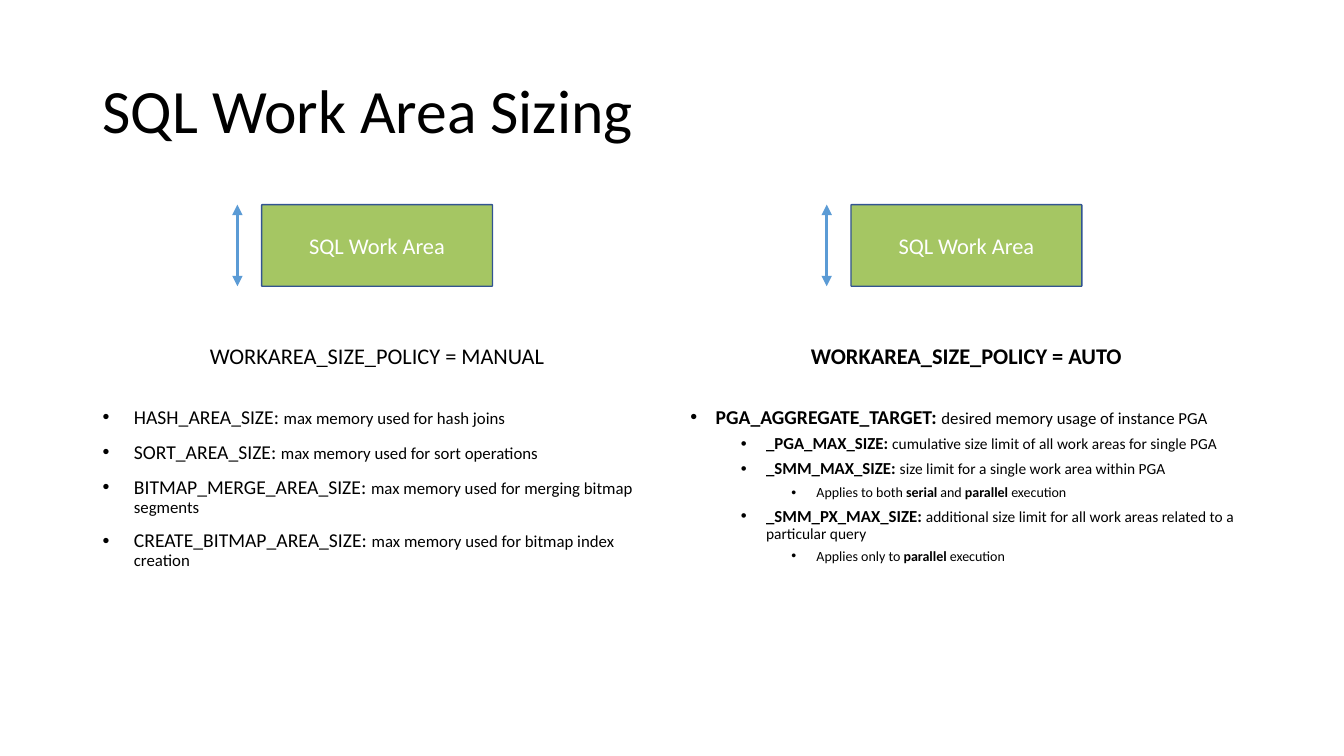
"""Build the SQL Work Area Sizing slide: two policies compared in columns."""
from lxml import etree
from pptx import Presentation
from pptx.dml.color import RGBColor
from pptx.enum.shapes import MSO_CONNECTOR, MSO_SHAPE
from pptx.enum.text import MSO_ANCHOR, PP_ALIGN
from pptx.oxml.ns import qn
from pptx.util import Inches, Pt

LEFT, CENTER = PP_ALIGN.LEFT, PP_ALIGN.CENTER
TOP, MIDDLE = MSO_ANCHOR.TOP, MSO_ANCHOR.MIDDLE
ROUNDED, STRAIGHT = MSO_SHAPE.ROUNDED_RECTANGLE, MSO_CONNECTOR.STRAIGHT

BLACK, WHITE, GREEN, NAVY, BLUE = "000000", "FFFFFF", "A5C663", "325491", "5B9BD5"
FONT = "Calibri"
TITLE = "SQL Work Area Sizing"
BOX_LABEL = "SQL Work Area"
COLUMNS = [
    dict(x=0.92, w=5.64, hang=0.31, bold=False, policy="WORKAREA_SIZE_POLICY = MANUAL", items=[
        (0, "HASH_AREA_SIZE: ", "max memory used for hash joins"),
        (0, "SORT_AREA_SIZE: ", "max memory used for sort operations"),
        (0, "BITMAP_MERGE_AREA_SIZE: ", "max memory used for merging bitmap segments"),
        (0, "CREATE_BITMAP_AREA_SIZE: ", "max memory used for bitmap index creation"),
    ]),
    dict(x=6.75, w=5.67, hang=0.25, bold=True, policy="WORKAREA_SIZE_POLICY = AUTO", items=[
        (0, "PGA_AGGREGATE_TARGET: ", "desired memory usage of instance PGA"),
        (1, "_PGA_MAX_SIZE: ", "cumulative size limit of all work areas for single PGA"),
        (1, "_SMM_MAX_SIZE: ", "size limit for a single work area within PGA"),
        (2, "Applies to both ", "serial", " and ", "parallel", " execution"),
        (1, "_SMM_PX_MAX_SIZE: ",
         "additional size limit for all work areas related to a particular query"),
        (2, "Applies only to ", "parallel", " execution"),
    ]),
]
LEVEL_SIZES = [(14, 12), (12, 11), (10, 10)]
LEVEL_SPACE = [10, 5, 5]
LEVEL_STEP = 0.5
BOX_Y, BOX_W, BOX_H = 2.03, 2.29, 0.81
ARROW_GAP = 0.24
POLICY_Y, POLICY_H, LIST_H = 3.09, 0.9, 4.03


def color(value):
    return RGBColor.from_string(value)


def set_attrs(obj, **values):
    for name, value in values.items():
        setattr(obj, name, value)


def add_runs(p, runs, fill=BLACK, **layout):
    set_attrs(p, **layout)
    for text, size, bold in runs:
        r = p.add_run()
        r.text = text
        set_attrs(r.font, name=FONT, size=Pt(size), bold=bold)
        r.font.color.rgb = color(fill)


def add_text(x, y, w, h, anchor):
    tf = s.shapes.add_textbox(*map(Inches, (x, y, w, h))).text_frame
    set_attrs(tf, word_wrap=True, vertical_anchor=anchor)
    return tf


def add_bullet(p, level, hang):
    pPr = p._p.get_or_add_pPr()
    pPr.set("marL", str(Inches(hang + level * LEVEL_STEP)))
    pPr.set("indent", str(-Inches(hang)))
    etree.SubElement(pPr, qn("a:buFont"), typeface="Arial")
    etree.SubElement(pPr, qn("a:buChar"), char="•")


def add_work_area(x):
    sp = s.shapes.add_shape(ROUNDED, *map(Inches, (x, BOX_Y, BOX_W, BOX_H)))
    sp.adjustments[0] = 0.01
    sp.shadow.inherit = False
    sp.fill.solid()
    sp.fill.fore_color.rgb = color(GREEN)
    sp.line.color.rgb = color(NAVY)
    sp.line.width = Pt(1)
    sp.text_frame.vertical_anchor = MIDDLE
    add_runs(sp.text_frame.paragraphs[0], [(BOX_LABEL, 16, False)], WHITE, alignment=CENTER)


def add_size_arrow(x):
    line = s.shapes.add_connector(STRAIGHT, *map(Inches, (x, BOX_Y, x, BOX_Y + BOX_H)))
    line.line.color.rgb = color(BLUE)
    line.line.width = Pt(2.5)
    ln = line.line._get_or_add_ln()
    for end in ("a:headEnd", "a:tailEnd"):
        etree.SubElement(ln, qn(end), type="triangle")
    etree.SubElement(line._element.spPr, qn("a:effectLst"))


def add_items(tf, col):
    for i, (level, *texts) in enumerate(col["items"]):
        p = tf.add_paragraph() if i else tf.paragraphs[0]
        lead, rest = LEVEL_SIZES[level]
        bold_turn = 1 if level == 2 else 0
        runs = [(text, rest if j else lead, col["bold"] and j % 2 == bold_turn)
                for j, text in enumerate(texts)]
        add_runs(p, runs, alignment=LEFT, line_spacing=0.9, level=level,
                 space_before=Pt(LEVEL_SPACE[level]))
        add_bullet(p, level, col["hang"])


prs = Presentation()
set_attrs(prs, slide_width=Inches(13.33), slide_height=Inches(7.5))
s = prs.slides.add_slide(prs.slide_layouts[6])

tf = add_text(0.92, 0.4, 11.5, 1.45, MIDDLE)
add_runs(tf.paragraphs[0], [(TITLE, 44, False)], line_spacing=0.9)

for col in COLUMNS:
    x, w = col["x"], col["w"]
    tf = add_text(x, POLICY_Y, w, POLICY_H, MIDDLE)
    add_runs(tf.paragraphs[0], [(col["policy"], 16, col["bold"])], alignment=CENTER,
             line_spacing=0.9, space_before=Pt(10))
    add_items(add_text(x, POLICY_Y + POLICY_H, w, LIST_H, TOP), col)
    box_x = x + (w - BOX_W) / 2
    add_work_area(box_x)
    add_size_arrow(box_x - ARROW_GAP)

prs.save("out.pptx")
